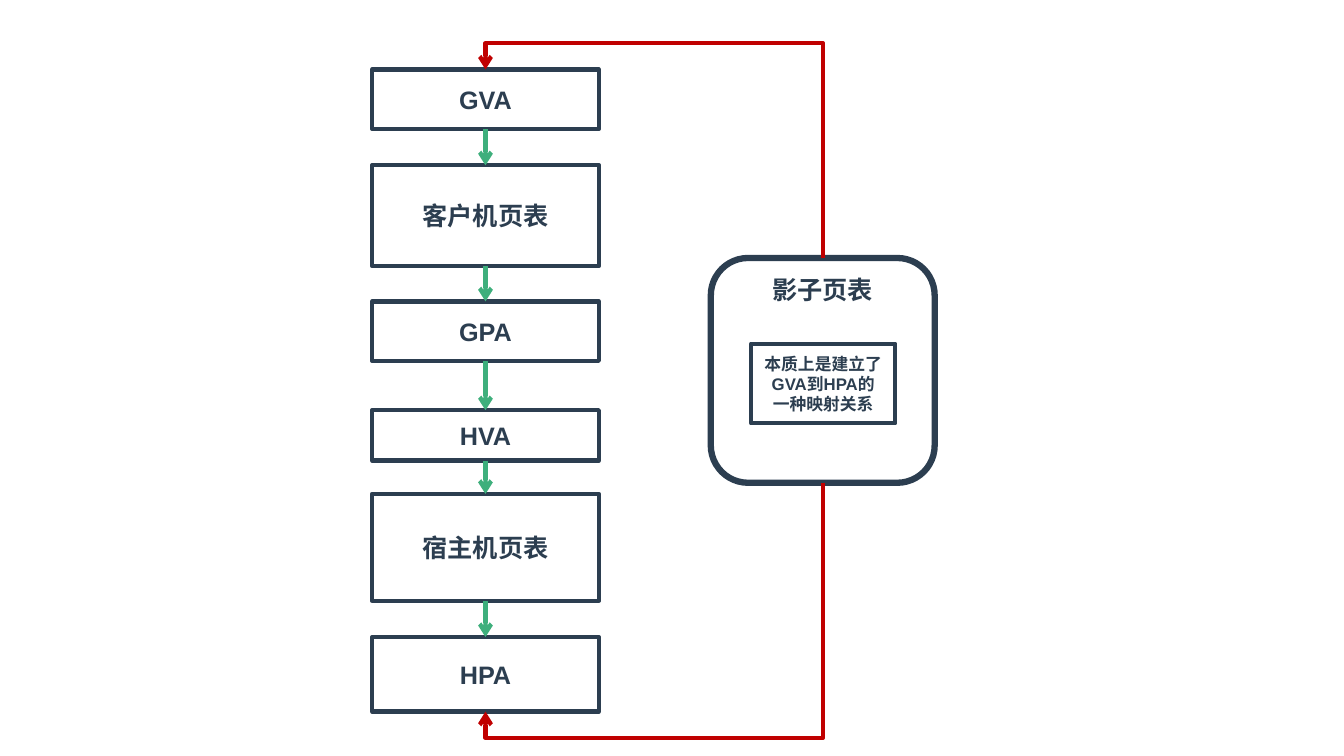
from dataclasses import dataclass
from itertools import pairwise

from lxml import etree
from pptx import Presentation
from pptx.dml.color import RGBColor
from pptx.enum.shapes import MSO_CONNECTOR as Link, MSO_SHAPE as Shape
from pptx.enum.text import MSO_ANCHOR as Anchor, PP_ALIGN as Align
from pptx.oxml.ns import qn
from pptx.util import Inches, Pt


@dataclass(frozen=True)
class Theme:
    ink: RGBColor = RGBColor(0x2C, 0x3E, 0x50)
    step: RGBColor = RGBColor(0x3E, 0xAF, 0x7C)
    shadow: RGBColor = RGBColor(0xC0, 0x00, 0x00)
    font: str = "Arial"
    label: int = 18
    note: int = 12
    line: float = 3
    heavy_line: float = 4.5


THEME = Theme()
TOP, BOTTOM = 0, 2  # connection sites
STAGE_LEFT, STAGE_WIDTH = 3.69, 2.25
STAGES = [  # label, top, height
    ("GVA", 0.69, 0.59),
    ("客户机页表", 1.64, 1.0),
    ("GPA", 2.99, 0.59),
    ("HVA", 4.07, 0.5),
    ("宿主机页表", 4.9, 1.06),
    ("HPA", 6.32, 0.74),
]
NOTE = ["本质上是建立了", "GVA到HPA的", "一种映射关系"]


def write_text(box, lines, *, size=THEME.label, anchor=Anchor.MIDDLE):
    frame = box.text_frame
    frame.word_wrap = True
    frame.vertical_anchor = anchor
    for index, line in enumerate(lines):
        para = frame.paragraphs[0] if index == 0 else frame.add_paragraph()
        para.alignment = Align.CENTER
        span = para.add_run()
        span.text = line
        span.font.name = THEME.font
        span.font.size = Pt(size)
        span.font.bold = True
        span.font.color.rgb = THEME.ink


def add_box(page, place, lines, *, kind=Shape.RECTANGLE, weight=THEME.line, **text_format):
    box = page.shapes.add_shape(kind, *map(Inches, place))
    box.shadow.inherit = False
    box.fill.background()
    box.line.color.rgb = THEME.ink
    box.line.width = Pt(weight)
    write_text(box, lines, **text_format)
    return box


def add_arrow(page, start, start_site, end, end_site, *, kind=Link.STRAIGHT, color=THEME.step):
    arrow = page.shapes.add_connector(kind, 0, 0, 0, 0)
    arrow.begin_connect(start, start_site)
    arrow.end_connect(end, end_site)
    arrow.line.color.rgb = color
    arrow.line.width = Pt(THEME.line)
    outline = arrow.line._get_or_add_ln()
    etree.SubElement(outline, qn("a:tailEnd"), type="arrow")
    etree.SubElement(arrow._element.spPr, qn("a:effectLst"))
    return arrow


def add_loop(page, start, end, site, bend):
    """Join two boxes on the same side; bend is the detour as a share of the rise."""
    arrow = add_arrow(page, start, site, end, site, kind=Link.ELBOW, color=THEME.shadow)
    # The elbow is drawn lying down, then turned a quarter about its centre.
    run, rise = arrow.width, arrow.height
    middle_x, middle_y = arrow.left + run // 2, arrow.top + rise // 2
    arrow.left, arrow.top = middle_x - rise // 2, middle_y - run // 2
    arrow.width, arrow.height = rise, run
    properties = arrow._element.spPr
    frame = properties.find(qn("a:xfrm"))
    for flip in ("flipH", "flipV"):
        frame.attrib.pop(flip, None)
    frame.set("rot", str((270 if site == TOP else 90) * 60000))
    if site == TOP:
        frame.set("flipV", "1")
    guides = properties.find(qn("a:prstGeom")).find(qn("a:avLst"))
    etree.SubElement(guides, qn("a:gd"), name="adj1", fmla=f"val {round(bend * 100000)}")


def main():
    deck = Presentation()
    deck.slide_width, deck.slide_height = Inches(13.33), Inches(7.5)
    page = deck.slides.add_slide(deck.slide_layouts[6])

    # Address translation chain
    stages = [
        add_box(page, (STAGE_LEFT, top, STAGE_WIDTH, height), [label])
        for label, top, height in STAGES
    ]
    for upper, lower in pairwise(stages):
        add_arrow(page, upper, BOTTOM, lower, TOP)

    # Shadow page table with its note
    table = add_box(page, (7.05, 2.56, 2.22, 2.23), ["影子页表"],
                    kind=Shape.ROUNDED_RECTANGLE, weight=THEME.heavy_line, anchor=Anchor.TOP)
    add_box(page, (7.45, 3.41, 1.43, 0.79), NOTE, size=THEME.note)

    # Direct mapping to both ends of the chain
    add_loop(page, table, stages[0], TOP, 1.14)
    add_loop(page, table, stages[-1], BOTTOM, 1.115)

    deck.save("out.pptx")


if __name__ == "__main__":
    main()
